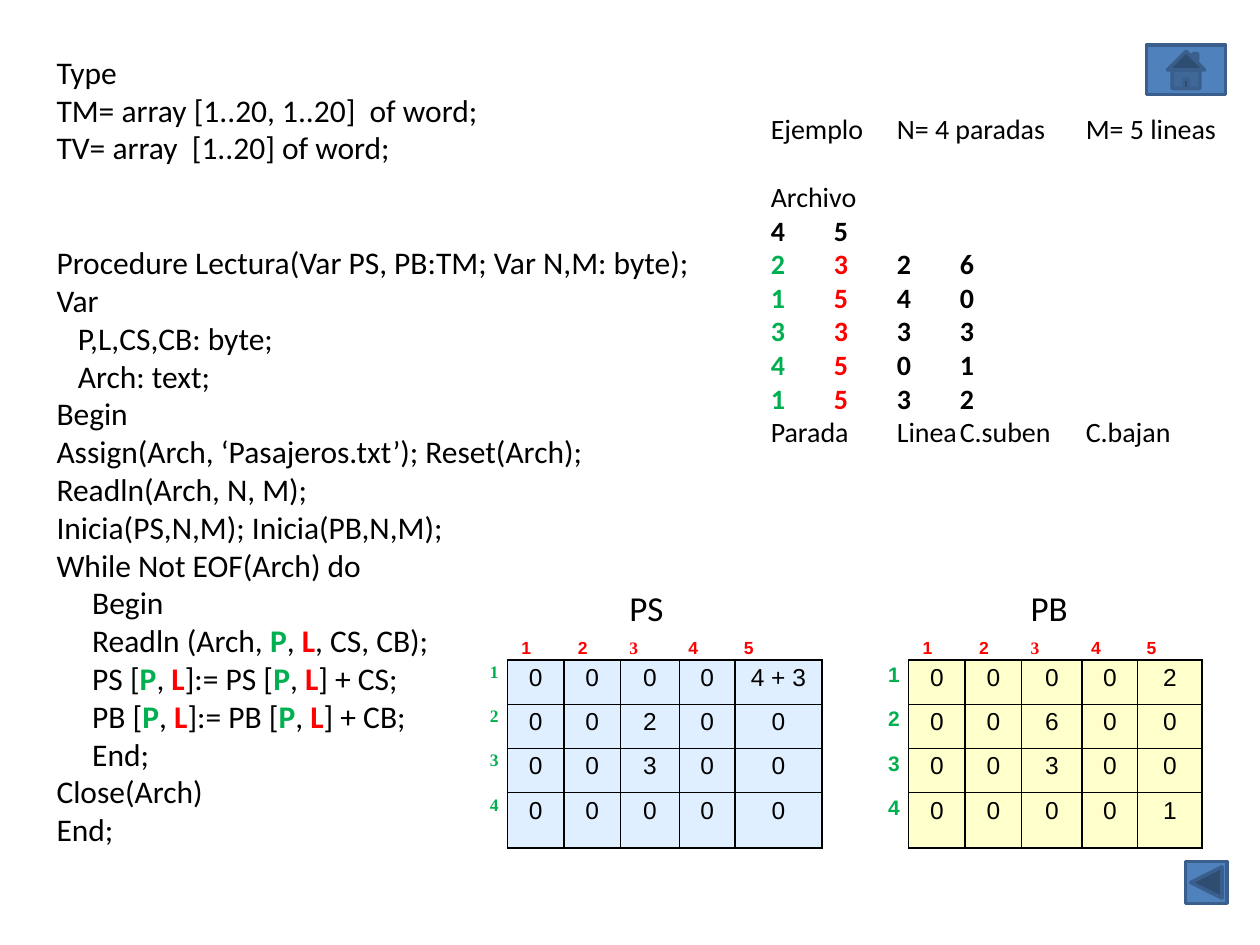
"""Build the slide on reading stops and lines into the matrices PS and PB."""
from dataclasses import dataclass
from typing import NamedTuple

import lxml.etree
import pptx
import pptx.dml.color
import pptx.enum.shapes
import pptx.enum.text
import pptx.oxml.ns
import pptx.util

Cm = pptx.util.Cm
Pt = pptx.util.Pt
qn = pptx.oxml.ns.qn
RGBColor = pptx.dml.color.RGBColor
Align = pptx.enum.text.PP_ALIGN
Shape = pptx.enum.shapes.MSO_SHAPE

BLACK = RGBColor(0x00, 0x00, 0x00)
GREEN = RGBColor(0x00, 0xB0, 0x50)
RED = RGBColor(0xFF, 0x00, 0x00)
BUTTON_FILL = RGBColor(0x4F, 0x81, 0xBD)
BUTTON_LINE = RGBColor(0x3A, 0x5F, 0x8C)
PALE_BLUE = RGBColor(0x99, 0xCC, 0xFF)
PALE_YELLOW = RGBColor(0xFF, 0xFF, 0xCC)
NO_STYLE = "{2D5ABB26-0587-4C30-8999-92F81FD0307C}"


class Span(NamedTuple):
    text: str
    color: RGBColor = BLACK
    bold: bool = False


@dataclass
class Line:
    spans: list[Span]
    indent: float = 0
    before: float = 0
    stops: tuple[float, ...] = ()


@dataclass
class Button:
    kind: Shape
    left: float
    top: float
    width: float
    height: float


@dataclass
class Matrix:
    name: str
    first_column: int
    values: list[list[str]]
    fill: RGBColor
    opacity: int
    label_font: str
    label_size: int


def plain(text: str, indent: float = 0, before: float = 0, stops: tuple[float, ...] = ()) -> Line:
    return Line([Span(text)], indent, before, stops)


def record(stop: int, route: int, boarding: int, leaving: int) -> Line:
    return Line([Span(f"{stop}\t", GREEN, True), Span(str(route), RED, True),
                 Span(f"\t{boarding}\t{leaving}", BLACK, True)])


INDEX = [Span("P", GREEN, True), Span(", "), Span("L", RED, True)]


def update(name: str, count: str) -> Line:
    return Line([Span(f"{name} ["), *INDEX, Span(f"]:= {name} ["), *INDEX,
                 Span(f"] + {count};")], BLOCK)


DECLARATION, BLOCK = 0.43, 0.72
CODE = [
    plain("Type"),
    plain("TM= array [1..20, 1..20]  of word;"),
    plain("TV= array  [1..20] of word;"),
    plain("Procedure Lectura(Var PS, PB:TM; Var N,M: byte);", before=44),
    plain("Var"),
    plain("P,L,CS,CB: byte;", DECLARATION),
    plain("Arch: text;", DECLARATION),
    plain("Begin"),
    plain("Assign(Arch, ‘Pasajeros.txt’); Reset(Arch);"),
    plain("Readln(Arch, N, M);"),
    plain("Inicia(PS,N,M); Inicia(PB,N,M);"),
    plain("While Not EOF(Arch) do"),
    plain("Begin", BLOCK),
    Line([Span("Readln (Arch, "), *INDEX, Span(", CS, CB);")], BLOCK),
    update("PS", "CS"),
    update("PB", "CB"),
    plain("End;", BLOCK),
    plain("Close(Arch)"),
    plain("End;"),
]
EXAMPLE = [
    plain("Ejemplo\tN= 4 paradas\tM= 5 lineas", stops=(2.5, 6)),
    plain("Archivo", before=19.5),
    Line([Span("4\t5", bold=True)]),
    *[record(*row) for row in ((2, 3, 2, 6), (1, 5, 4, 0), (3, 3, 3, 3), (4, 5, 0, 1), (1, 5, 3, 2))],
    plain("Parada\tLinea\tC.suben\tC.bajan", stops=(2.46, 4.94, 7.54)),
]
BUTTONS = [
    Button(Shape.ACTION_BUTTON_BACK_OR_PREVIOUS, 23.9, 17.37, 0.84, 0.84),
    Button(Shape.ACTION_BUTTON_HOME, 23.11, 0.91, 1.6, 1),
]
MATRICES = [
    Matrix("PS", 1, [["0", "0", "0", "0", "4 + 3"], list("00200"), list("00300"), list("00000")],
           PALE_BLUE, 30, "Times New Roman", 10),
    Matrix("PB", 7, [list("00002"), list("00600"), list("00300"), list("00001")],
           PALE_YELLOW, 100, "Arial", 12),
]
COLUMN_WIDTHS = [1.14, 1.14, 1.14, 1.19, 1.12, 1.75, 1.75, 1.14, 1.14, 1.22, 1.12, 1.3]
ROW_HEIGHTS = [1.09, 0.46, 0.89, 0.89, 0.89, 1.12]
HEADING_INDENTS = [0.1, 0.1, 0, 0, 0]


def style(font, name: str, size: float, color: RGBColor, bold: bool) -> None:
    font.name, font.size, font.bold = name, Pt(size), bold
    font.color.rgb = color


def add_lines(page, left: float, top: float, width: float, height: float,
              size: int, lines: list[Line]) -> None:
    box = page.shapes.add_textbox(Cm(left), Cm(top), Cm(width), Cm(height))
    frame = box.text_frame
    frame.word_wrap = True
    for number, line in enumerate(lines):
        para = frame.add_paragraph() if number else frame.paragraphs[0]
        para.space_before = Pt(line.before)
        properties = para._p.get_or_add_pPr()
        properties.set("marL", str(Cm(line.indent)))
        properties.set("indent", "0")
        if line.stops:
            stops = lxml.etree.SubElement(properties, qn("a:tabLst"))
            for stop in line.stops:
                lxml.etree.SubElement(stops, qn("a:tab"), pos=str(Cm(stop)), algn="l")
        for span in line.spans:
            run = para.add_run()
            run.text = span.text
            style(run.font, "Calibri", size, span.color, span.bold)


def add_button(page, button: Button) -> None:
    shape = page.shapes.add_shape(button.kind, Cm(button.left), Cm(button.top),
                                  Cm(button.width), Cm(button.height))
    shape.shadow.inherit = False
    shape.fill.solid()
    shape.fill.fore_color.rgb = BUTTON_FILL
    shape.line.color.rgb = BUTTON_LINE
    shape.line.width = Pt(2)


def write_cell(cell, text: str, align: Align, font: str, size: int,
               color: RGBColor = BLACK, bold: bool = False) -> None:
    cell.text = text
    para = cell.text_frame.paragraphs[0]
    para.alignment, para.line_spacing, para.space_after = align, 1.15, Pt(10)
    style(para.runs[0].font, font, size, color, bold)


def paint_cell(cell, color: RGBColor, opacity: int) -> None:
    cell.fill.solid()
    cell.fill.fore_color.rgb = color
    properties = cell._tc.get_or_add_tcPr()
    if opacity < 100:
        tint = properties.find(".//" + qn("a:srgbClr"))
        lxml.etree.SubElement(tint, qn("a:alpha"), val=str(opacity * 1000))
    for position, side in enumerate(("lnL", "lnR", "lnT", "lnB")):
        border = properties.makeelement(qn(f"a:{side}"), {"w": str(Pt(1))})
        fill = lxml.etree.SubElement(border, qn("a:solidFill"))
        lxml.etree.SubElement(fill, qn("a:srgbClr"), val=str(BLACK))
        properties.insert(position, border)


def fill_matrix(table, matrix: Matrix) -> None:
    first = matrix.first_column
    write_cell(table.cell(0, first + 2), matrix.name, Align.JUSTIFY, "Calibri", 20)
    for offset, indent in enumerate(HEADING_INDENTS):
        cell = table.cell(1, first + offset)
        font = "Times New Roman" if offset == 2 else "Arial"
        write_cell(cell, str(offset + 1), Align.JUSTIFY, font, 10, RED, True)
        cell.margin_left = Cm(0.18 + indent)
    for row, values in enumerate(matrix.values, start=2):
        write_cell(table.cell(row, first - 1), str(row - 1), Align.RIGHT,
                   matrix.label_font, matrix.label_size, GREEN, True)
        for column, value in enumerate(values, start=first):
            write_cell(table.cell(row, column), value, Align.CENTER, "Arial", 14)
            paint_cell(table.cell(row, column), matrix.fill, matrix.opacity)


def add_matrices(page) -> None:
    frame = page.shapes.add_table(len(ROW_HEIGHTS), len(COLUMN_WIDTHS), Cm(9.09), Cm(11.73),
                                  Cm(sum(COLUMN_WIDTHS)), Cm(sum(ROW_HEIGHTS)))
    table = frame.table
    table.first_row = table.horz_banding = False
    table._tbl.tblPr.find(qn("a:tableStyleId")).text = NO_STYLE
    for column, width in zip(table.columns, COLUMN_WIDTHS):
        column.width = Cm(width)
    for row, height in zip(table.rows, ROW_HEIGHTS):
        row.height = Cm(height)
    for cell in table.iter_cells():
        cell.margin_left = cell.margin_right = Cm(0.18)
        cell.margin_top = cell.margin_bottom = 0
        cell.fill.background()
    for matrix in MATRICES:
        fill_matrix(table, matrix)
    for cell in table.iter_cells():
        if not cell.text:
            para = cell.text_frame.paragraphs[0]
            lxml.etree.SubElement(para._p, qn("a:endParaRPr"), sz="1000")


def main() -> None:
    deck = pptx.Presentation()
    deck.slide_width, deck.slide_height = Cm(25.4), Cm(19.05)
    page = deck.slides.add_slide(deck.slide_layouts[6])
    add_lines(page, 0.89, 0.94, 13.39, 16.41, 18, CODE)
    for button in BUTTONS:
        add_button(page, button)
    add_lines(page, 15.29, 2.13, 9.83, 7.09, 16, EXAMPLE)
    add_matrices(page)
    deck.save("out.pptx")


if __name__ == "__main__":
    main()
